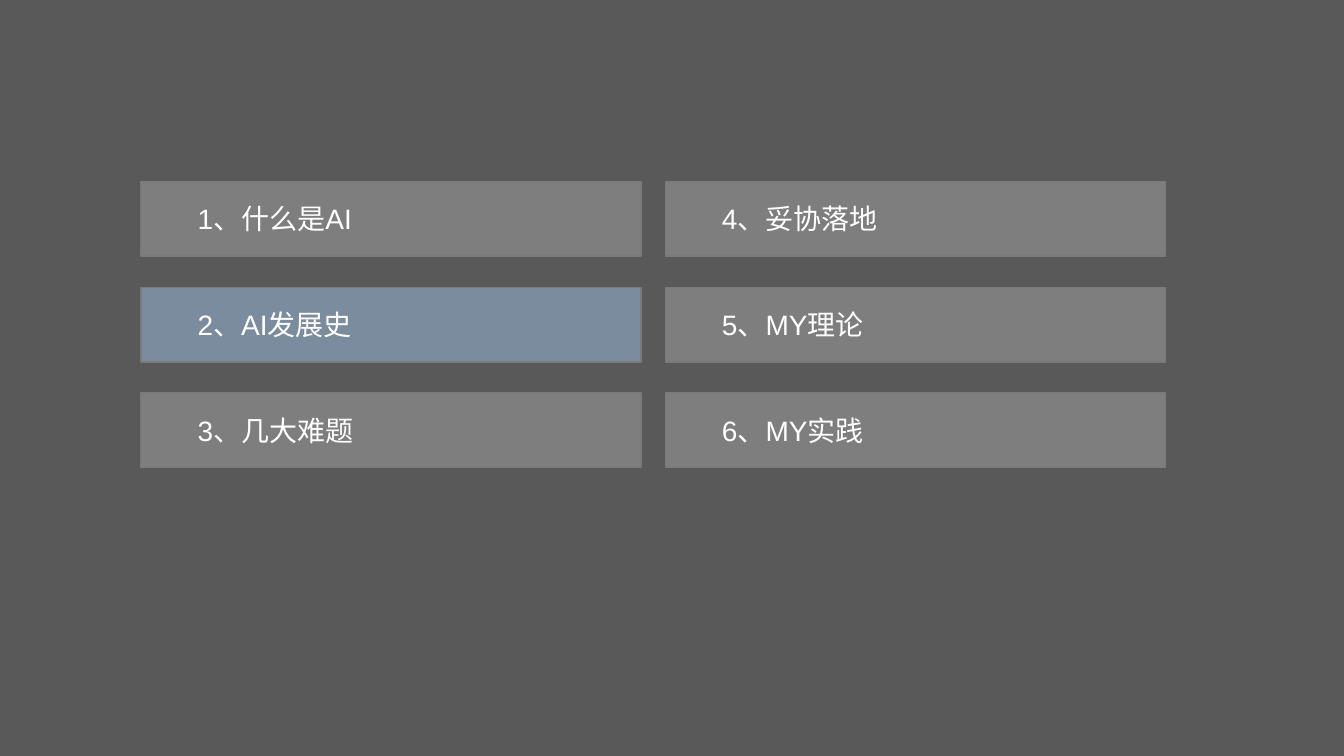
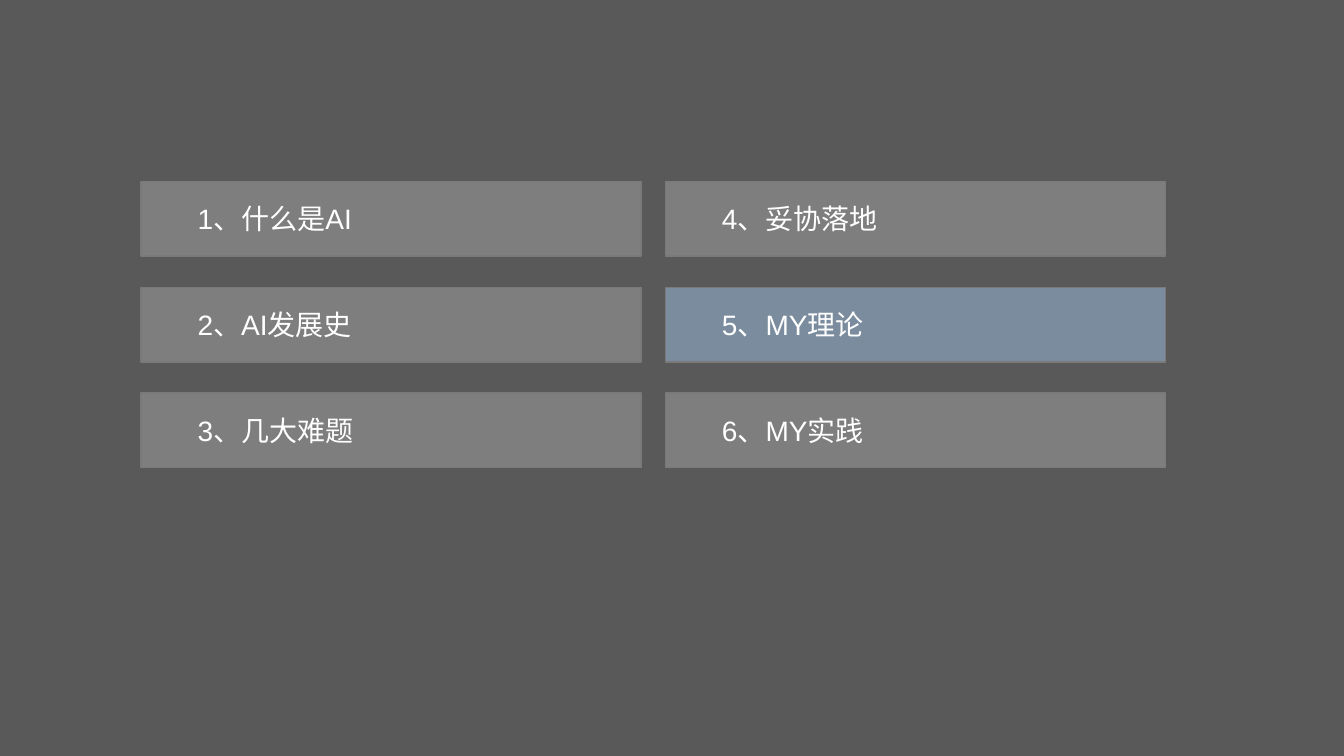
import pptx
import pptx.dml.color
import pptx.enum.shapes
import pptx.enum.text
import pptx.oxml.ns
import pptx.util
from lxml import etree

Inches = pptx.util.Inches

WIDE, HIGH = 13.33, 7.5
COLORS = {
    "page": "FFFFFF",
    "veil": "000000",
    "bar": "A5A5A5",
    "active": "9DC3E6",
    "edge": "7A7A7A",
    "text": "FFFFFF",
}
TOPICS = ["什么是AI", "AI发展史", "几大难题", "妥协落地", "MY理论", "MY实践"]
ROWS = 3
LEFT, TOP = 1.4, 1.8
STEP_X, STEP_Y = 5.2, 1.05
BAR_W, BAR_H = 4.96, 0.74
INDENT = 0.56


def color(name):
    return pptx.dml.color.RGBColor.from_string(COLORS[name])


def paint(fill, name, alpha=100):
    """Fill with a named colour; alpha is the opacity in percent."""
    fill.solid()
    fill.fore_color.rgb = color(name)
    if alpha < 100:
        tone = fill._xPr.find(".//" + pptx.oxml.ns.qn("a:srgbClr"))
        etree.SubElement(tone, pptx.oxml.ns.qn("a:alpha"), val=str(alpha * 1000))


def add_rect(slide, x, y, w, h, fill, alpha, edge=None):
    kind = pptx.enum.shapes.MSO_SHAPE.RECTANGLE
    rect = slide.shapes.add_shape(kind, Inches(x), Inches(y), Inches(w), Inches(h))
    rect.shadow.inherit = False
    paint(rect.fill, fill, alpha)
    if edge:
        rect.line.color.rgb = color(edge)
        rect.line.width = pptx.util.Pt(1)
    else:
        rect.line.fill.background()
    return rect


def put_text(shape, text, size=20, font="Arial", tint="text", indent=0.1):
    frame = shape.text_frame
    frame.word_wrap = True
    frame.vertical_anchor = pptx.enum.text.MSO_ANCHOR.MIDDLE
    frame.margin_left = Inches(indent)
    para = frame.paragraphs[0]
    para.alignment = pptx.enum.text.PP_ALIGN.LEFT
    run = para.add_run()
    run.text = text
    run.font.name = font
    run.font.size = pptx.util.Pt(size)
    run.font.color.rgb = color(tint)


def set_master(deck, slide):
    """Put the white page and its dark veil on the master, behind all slides."""
    master = deck.slide_master
    paint(master.background.fill, "page")
    veil = add_rect(slide, 0, 0, WIDE, HIGH, "veil", 65)
    master.shapes.element.insert(2, veil.element)


def add_menu(slide, active):
    """Draw the topics column by column, with the active number lit."""
    for index, topic in enumerate(TOPICS):
        col, row = divmod(index, ROWS)
        number = index + 1
        fill = "active" if number == active else "bar"
        bar = add_rect(slide, LEFT + col * STEP_X, TOP + row * STEP_Y,
                       BAR_W, BAR_H, fill, 49, edge="edge")
        put_text(bar, f"{number}、{topic}", indent=INDENT)


def main():
    deck = pptx.Presentation()
    deck.slide_width, deck.slide_height = Inches(WIDE), Inches(HIGH)
    blank = deck.slide_layouts[6]
    slides = [deck.slides.add_slide(blank) for _ in range(2)]
    set_master(deck, slides[0])
    for slide, active in zip(slides, (2, 5)):
        add_menu(slide, active)
    deck.save("out.pptx")


if __name__ == "__main__":
    main()
